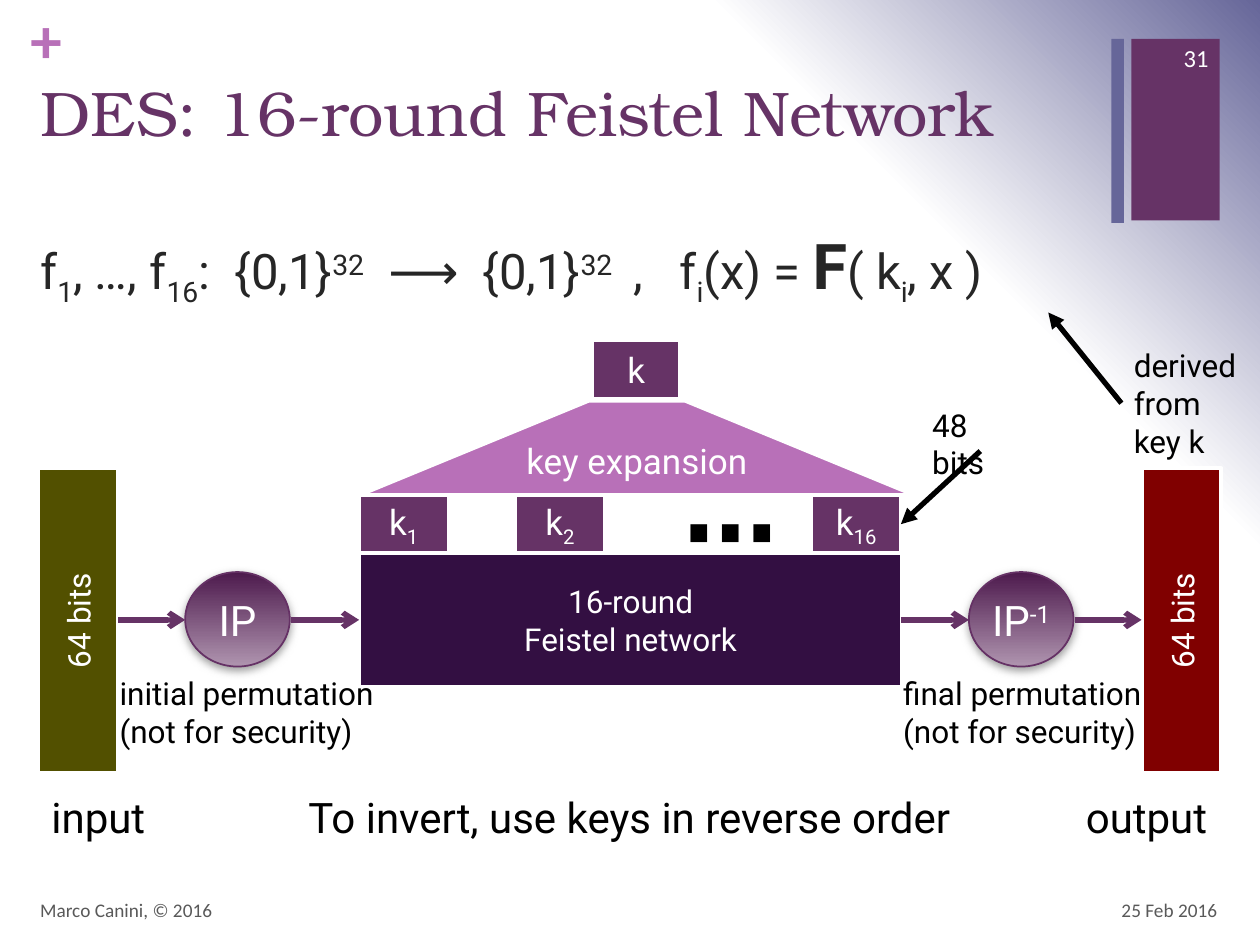
from lxml import etree
from pptx import Presentation
from pptx.dml.color import RGBColor
from pptx.enum.shapes import MSO_CONNECTOR, MSO_SHAPE
from pptx.enum.text import MSO_ANCHOR, MSO_AUTO_SIZE, PP_ALIGN
from pptx.oxml import parse_xml
from pptx.oxml.ns import nsdecls, qn
from pptx.util import Inches, Pt

PURPLE = RGBColor(0x66, 0x33, 0x66)
ORCHID = RGBColor(0xB8, 0x70, 0xB8)
SLATE = RGBColor(0x66, 0x66, 0x99)
DEEP_PURPLE = RGBColor(0x33, 0x0F, 0x42)
OLIVE = RGBColor(0x52, 0x50, 0x00)
MAROON = RGBColor(0x80, 0x00, 0x00)
OVAL_TOP = RGBColor(0x4D, 0x1A, 0x4D)
OVAL_BOTTOM = RGBColor(0xAF, 0x94, 0xAF)
OVAL_LINE = RGBColor(0x65, 0x31, 0x65)
CHARCOAL = RGBColor(0x26, 0x26, 0x26)
GREY = RGBColor(0x59, 0x59, 0x59)
WHITE = RGBColor(0xFF, 0xFF, 0xFF)
BLACK = RGBColor(0, 0, 0)

BODY_FONT, TITLE_FONT, SMALL_FONT = "Roboto", "TeX Gyre Bonum", "Calibri"
SUB, SUPER = -25, 30
FLOW_Y = 4.92
KEY_Y = 3.93

BACKGROUND = f"""<p:bg {nsdecls('p', 'a')}><p:bgPr><a:gradFill rotWithShape="1"><a:gsLst>
<a:gs pos="0"><a:srgbClr val="{WHITE}"/></a:gs>
<a:gs pos="75000"><a:srgbClr val="{WHITE}"/></a:gs>
<a:gs pos="100000"><a:srgbClr val="{SLATE}"/></a:gs></a:gsLst>
<a:path path="circle"><a:fillToRect t="100000" r="100000"/></a:path>
</a:gradFill><a:effectLst/></p:bgPr></p:bg>"""

OVAL_SHADOW = f"""<a:outerShdw {nsdecls('a')} blurRad="{Pt(5)}" dist="{Pt(2)}" dir="5400000"
rotWithShape="0"><a:srgbClr val="808080"><a:alpha val="75000"/></a:srgbClr></a:outerShdw>"""


def place(shape, left, top, width, height):
    shape.left, shape.top = Inches(left), Inches(top)
    shape.width, shape.height = Inches(width), Inches(height)


def style(paragraph, size, color, font=BODY_FONT, align=PP_ALIGN.LEFT, bold=False):
    paragraph.alignment = align
    paragraph.font.size = Pt(size)
    paragraph.font.name = font
    paragraph.font.color.rgb = color
    paragraph.font.bold = bold


def add_run(paragraph, text, baseline=0):
    """Add a run, raised or lowered by baseline percent."""
    run = paragraph.add_run()
    run.text = text
    if baseline:
        run._r.get_or_add_rPr().set("baseline", str(baseline * 1000))
    return run


def add_label(slide, box, text, size, color=BLACK, wrap=False, anchor=MSO_ANCHOR.TOP, **look):
    label = slide.shapes.add_textbox(*map(Inches, box))
    frame = label.text_frame
    frame.text = text
    frame.word_wrap = wrap
    frame.vertical_anchor = anchor
    if not wrap:
        frame.auto_size = MSO_AUTO_SIZE.SHAPE_TO_FIT_TEXT
    for paragraph in frame.paragraphs:
        style(paragraph, size, color, **look)
    return label


def add_block(slide, box, fill, text="", size=20, script="", baseline=SUB,
              kind=MSO_SHAPE.RECTANGLE, outlined=True):
    """Add a filled shape with centred white text and an optional sub- or superscript."""
    block = slide.shapes.add_shape(kind, *map(Inches, box))
    block.shadow.inherit = False
    block.fill.solid()
    block.fill.fore_color.rgb = fill
    if outlined:
        block.line.color.rgb = WHITE
        block.line.width = Pt(2.25)
    else:
        block.line.fill.background()
    frame = block.text_frame
    frame.text = text
    frame.vertical_anchor = MSO_ANCHOR.MIDDLE
    for paragraph in frame.paragraphs:
        style(paragraph, size, WHITE, align=PP_ALIGN.CENTER)
    if script:
        add_run(frame.paragraphs[0], script, baseline)
    return block


def add_permutation(slide, left, script=""):
    oval = add_block(slide, (left, 4.54, 0.83, 0.75), OVAL_TOP, "IP", 24, script, SUPER,
                     MSO_SHAPE.OVAL)
    oval.fill.gradient()
    oval.fill.gradient_angle = 270
    for stop, color, position in zip(oval.fill.gradient_stops, (OVAL_TOP, OVAL_BOTTOM), (0, 1)):
        stop.color.rgb = color
        stop.position = position
    oval.line.color.rgb = OVAL_LINE
    oval.line.width = Pt(1)
    oval._element.spPr.find(qn("a:effectLst")).append(parse_xml(OVAL_SHADOW))
    if script:
        oval.text_frame.margin_left = oval.text_frame.margin_right = 0


def add_arrow(slide, start, end, color, head):
    arrow = slide.shapes.add_connector(MSO_CONNECTOR.STRAIGHT, *map(Inches, start + end))
    arrow.line.color.rgb = color
    arrow.line.width = Pt(3)
    etree.SubElement(arrow.line._get_or_add_ln(), qn("a:tailEnd"), type=head)
    etree.SubElement(arrow._element.spPr, qn("a:effectLst"))


def fill_title(slide):
    title = slide.shapes.title
    place(title, 0.22, 0.53, 8.59, 1.22)
    title.text_frame.text = "DES: 16-round Feistel Network"
    title.text_frame.vertical_anchor = MSO_ANCHOR.TOP
    style(title.text_frame.paragraphs[0], 36, PURPLE, TITLE_FONT)


def fill_formula(slide):
    body = slide.placeholders[1]
    place(body, 0.22, 1.75, 9.54, 0.95)
    paragraph = body.text_frame.paragraphs[0]
    style(paragraph, 28, CHARCOAL)
    paragraph.space_before = Pt(20)
    properties = paragraph._p.get_or_add_pPr()
    properties.set("marL", "0")
    properties.set("indent", "0")
    properties.find(qn("a:defRPr")).addprevious(etree.Element(qn("a:buNone")))
    for text, baseline in (("f", 0), ("1", SUB), (", …, f", 0), ("16", SUB), (":  {0,1}", 0),
                           ("32", SUPER), ("  ⟶  {0,1}", 0), ("32   ", SUPER), (",   f", 0),
                           ("i", SUB), ("(x) = ", 0)):
        add_run(paragraph, text, baseline)
    function = add_run(paragraph, "F")
    function.font.size = Pt(36)
    function.font.bold = True
    for text, baseline in (("( k", 0), ("i", SUB), (", x )", 0)):
        add_run(paragraph, text, baseline)


def add_decoration(slide):
    add_block(slide, (8.98, 0.31, 0.7, 1.44), PURPLE, outlined=False)
    add_block(slide, (8.82, 0.31, 0.1, 1.46), SLATE, outlined=False)
    plus = add_label(slide, (0.24, 0, 0.29, 0.61), "+", 36, ORCHID, font=SMALL_FONT, bold=True)
    frame = plus.text_frame
    frame.margin_left = frame.margin_right = frame.margin_top = frame.margin_bottom = 0
    small = {"wrap": True, "anchor": MSO_ANCHOR.MIDDLE, "font": SMALL_FONT}
    add_label(slide, (7.43, 7.02, 2.33, 0.4), "25 Feb 2016", 11, GREY,
              align=PP_ALIGN.RIGHT, **small)
    add_label(slide, (0.22, 7.02, 6.7, 0.4), "Marco Canini, © 2016", 11, GREY, **small)
    add_label(slide, (9.08, 0.26, 0.61, 0.4), "31", 14, WHITE, align=PP_ALIGN.RIGHT, **small)


def add_network(slide):
    add_block(slide, (4.7, 2.7, 0.7, 0.47), PURPLE, "k")
    expansion = add_block(slide, (2.85, 3.18, 4.41, 0.75), ORCHID, "key expansion",
                          kind=MSO_SHAPE.TRAPEZOID)
    expansion.adjustments[0] = 2.43
    for left, number in ((2.85, "1"), (4.09, "2"), (6.44, "16")):
        add_block(slide, (left, KEY_Y, 0.71, 0.47), PURPLE, "k", script=number)
    add_label(slide, (5.33, 3.7, 0.58, 1.01), "⋯", 54, bold=True)
    add_block(slide, (2.85, 4.39, 4.31, 1.06), DEEP_PURPLE, "16-round\nFeistel network", 18)
    for left, color in ((-0.59, OLIVE), (8.17, MAROON)):
        add_block(slide, (left, 4.61, 2.42, 0.63), color, "64 bits", 18).rotation = 270
    add_permutation(slide, 1.47)
    add_permutation(slide, 7.69, "-1")
    for start, end in ((0.94, 1.47), (2.31, 2.85), (7.15, 7.69), (8.53, 9.06)):
        add_arrow(slide, (start, FLOW_Y), (end, FLOW_Y), PURPLE, "arrow")


def add_notes_around_network(slide):
    add_label(slide, (0.31, 6.23, 0.96, 0.5), "input", 24)
    add_label(slide, (8.52, 6.23, 1.17, 0.5), "output", 24)
    add_label(slide, (2.28, 6.23, 5.43, 0.5), "To invert, use keys in reverse order", 24,
              align=PP_ALIGN.CENTER)
    add_label(slide, (0.85, 5.3, 2.22, 0.71), "initial permutation\v(not for security)", 18)
    add_label(slide, (7.07, 5.3, 2.1, 0.71), "final permutation\v(not for security)", 18)
    add_label(slide, (8.9, 2.7, 1.02, 1.01), "derived\vfrom\vkey k", 18)
    add_label(slide, (7.3, 3.17, 0.95, 0.4), "48 bits", 18, wrap=True)
    add_arrow(slide, (8.9, 3.2), (8.32, 2.48), BLACK, "triangle")
    add_arrow(slide, (7.78, 3.58), (7.15, 4.16), BLACK, "triangle")


def main():
    presentation = Presentation()
    presentation.slide_width, presentation.slide_height = Inches(10), Inches(7.5)
    slide = presentation.slides.add_slide(presentation.slide_layouts[1])
    slide._element.cSld.insert(0, parse_xml(BACKGROUND))
    fill_title(slide)
    fill_formula(slide)
    add_decoration(slide)
    add_network(slide)
    add_notes_around_network(slide)
    presentation.save("out.pptx")


if __name__ == "__main__":
    main()
